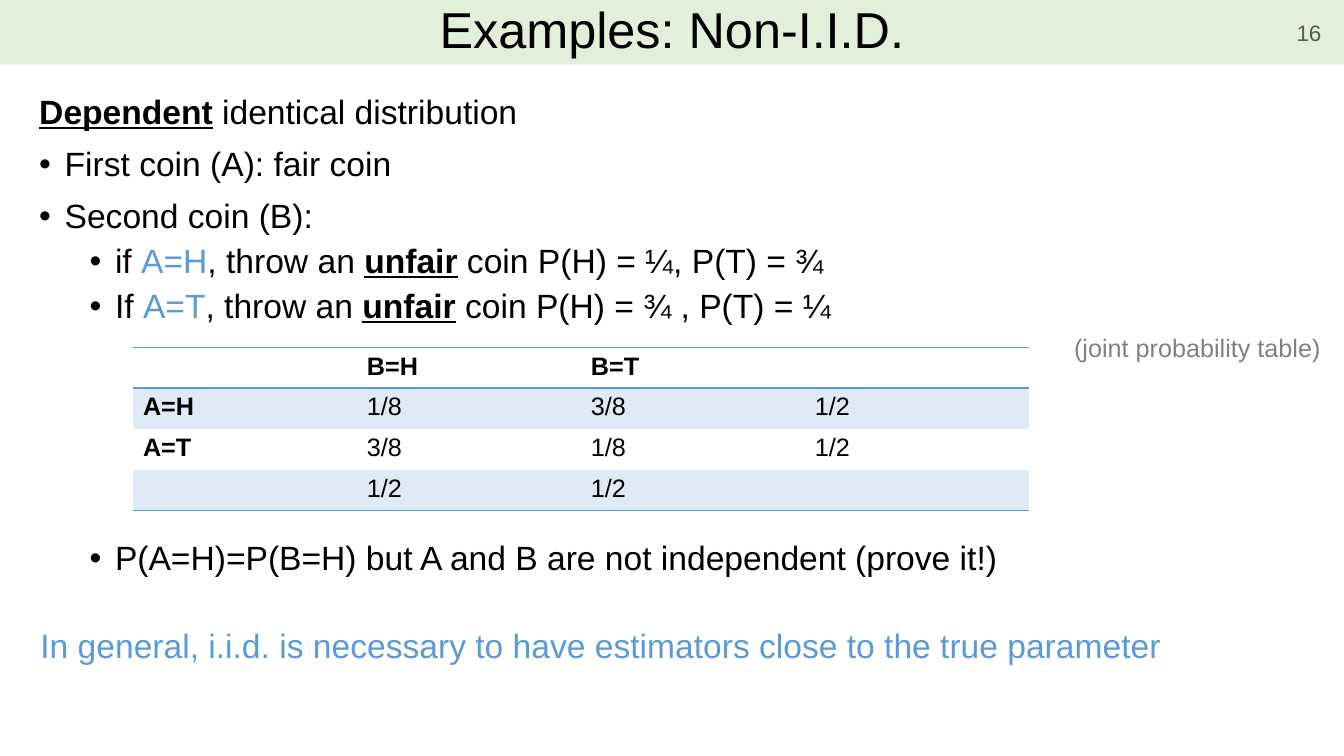
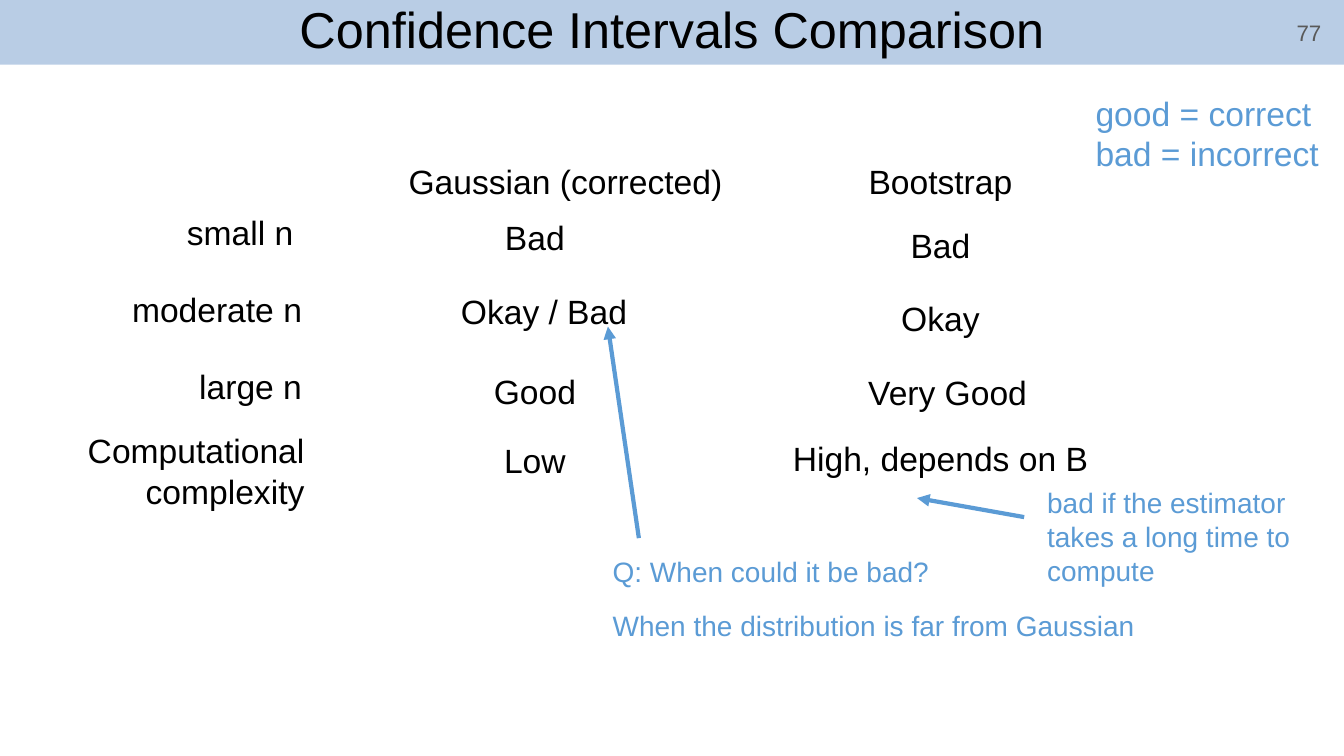
"""Build two lecture slides: a non-i.i.d. example and a comparison of confidence intervals."""
from lxml import etree
from pptx import Presentation
from pptx.dml.color import RGBColor
from pptx.enum.shapes import MSO_CONNECTOR, MSO_SHAPE
from pptx.enum.text import MSO_ANCHOR, PP_ALIGN
from pptx.oxml.ns import qn
from pptx.util import Cm, Pt

RECTANGLE = MSO_SHAPE.RECTANGLE
STRAIGHT = MSO_CONNECTOR.STRAIGHT
TOP, MIDDLE = MSO_ANCHOR.TOP, MSO_ANCHOR.MIDDLE
LEFT, CENTER, RIGHT = PP_ALIGN.LEFT, PP_ALIGN.CENTER, PP_ALIGN.RIGHT

FONT = "Arial"
COLORS = {
    "text": "000000",
    "accent": "5B9BD5",
    "row": "DEEBF7",
    "number": "595959",
    "caption": "808080",
    "green_band": "E2F0D9",
    "blue_band": "B9CDE5",
}
SLIDE_WIDTH, SLIDE_HEIGHT = 33.87, 19.05
BAND_HEIGHT = 1.63
LINE_HEIGHT = 1.27
NO_TABLE_STYLE = "{2D5ABB26-0587-4C30-8999-92F81FD0307C}"

STRONG = {"bold": True, "underline": True}
ACCENT = {"color": "accent"}

COIN_RULES = [
    ([("Dependent", STRONG), (" identical distribution", {})], {}),
    ("First coin (A): fair coin", {"bullet_at": 0.64, "before": 10}),
    ("Second coin (B):", {"bullet_at": 0.64, "before": 10}),
    ([("if ", {}), ("A=H", ACCENT), (", throw an ", {}), ("unfair", STRONG),
      (" coin P(H) = ¼, P(T) = ¾", {})], {"bullet_at": 1.91, "before": 5}),
    ([("If ", {}), ("A=T", ACCENT), (", throw an ", {}), ("unfair", STRONG),
      (" coin P(H) = ¾ , P(T) = ¼", {})], {"bullet_at": 1.91, "before": 5}),
]
JOINT_TABLE = [
    ["", "B=H", "B=T", ""],
    ["A=H", "1/8", "3/8", "1/2"],
    ["A=T", "3/8", "1/8", "1/2"],
    ["", "1/2", "1/2", ""],
]
ROW_LABELS = [
    ("small n", 7.64, 5.21),
    ("moderate n", 7.86, 7.16),
    ("large n", 7.86, 9.09),
    ("Computational complexity", 7.92, 10.72),
]
RATINGS = [
    ("Gaussian (corrected)", 14.25, 3.94),
    ("Bad", 13.48, 5.33),
    ("Okay / Bad", 13.71, 7.21),
    ("Good", 13.48, 9.22),
    ("Low", 13.48, 10.95),
    ("Bootstrap", 23.7, 3.94),
    ("Bad", 23.7, 5.54),
    ("Okay", 23.7, 7.37),
    ("Very Good", 23.88, 9.25),
    ("High, depends on B", 23.7, 10.92),
]


def rgb(name):
    """Return the palette colour of that name."""
    return RGBColor.from_string(COLORS[name])


def set_bullet(paragraph, text_left):
    """Hang a round bullet in front of text that starts at text_left."""
    properties = paragraph._p.get_or_add_pPr()
    properties.set("marL", str(Cm(text_left)))
    properties.set("indent", str(-Cm(0.64)))
    etree.SubElement(properties, qn("a:buFont"), typeface=FONT)
    etree.SubElement(properties, qn("a:buChar"), char="•")


def write(paragraph, content, size=24, color="text", bold=False, underline=False,
          align=LEFT, spacing=1.0, before=0, bullet_at=None):
    """Fill a paragraph with a string or with (text, format) runs."""
    if bullet_at is not None:
        set_bullet(paragraph, bullet_at)
    paragraph.alignment = align
    paragraph.line_spacing = spacing
    paragraph.space_before = Pt(before)
    paragraph.font.size = Pt(size)
    runs = [(content, {})] if isinstance(content, str) else content
    for text, style in runs:
        run = paragraph.add_run()
        run.text = text
        run.font.name = FONT
        run.font.size = Pt(size)
        run.font.bold = style.get("bold", bold)
        run.font.underline = style.get("underline", underline)
        run.font.color.rgb = rgb(style.get("color", color))


def add_text(slide, paragraphs, left, top, width, height=LINE_HEIGHT, anchor=TOP, **style):
    """Add a wrapping text box of (content, format) paragraphs."""
    box = slide.shapes.add_textbox(Cm(left), Cm(top), Cm(width), Cm(height))
    frame = box.text_frame
    frame.word_wrap = True
    frame.vertical_anchor = anchor
    if isinstance(paragraphs, str):
        paragraphs = [(paragraphs, {})]
    for index, (content, own_style) in enumerate(paragraphs):
        paragraph = frame.add_paragraph() if index else frame.paragraphs[0]
        write(paragraph, content, **{**style, **own_style})


def add_titled_slide(deck, title, number, band_color):
    """Add a blank slide with a title band and a slide number."""
    slide = deck.slides.add_slide(deck.slide_layouts[6])
    band = slide.shapes.add_shape(RECTANGLE, 0, 0, Cm(SLIDE_WIDTH), Cm(BAND_HEIGHT))
    band.shadow.inherit = False
    band.fill.solid()
    band.fill.fore_color.rgb = rgb(band_color)
    band.line.fill.background()
    band.text_frame.vertical_anchor = MIDDLE
    write(band.text_frame.paragraphs[0], title, size=36, align=CENTER, spacing=0.9)
    add_text(slide, number, 25.93, 0.3, 7.62, 1.02, anchor=MIDDLE,
             size=16, color="number", align=RIGHT)
    return slide


def add_rule(cell, side):
    """Draw a thin accent border on the side lnT or lnB of a cell."""
    border = etree.SubElement(cell._tc.get_or_add_tcPr(), qn(f"a:{side}"), w=str(Pt(1)))
    fill = etree.SubElement(border, qn("a:solidFill"))
    etree.SubElement(fill, qn("a:srgbClr"), val=COLORS["accent"])


def add_joint_table(slide, rows, left, top, width, row_heights):
    """Add a ruled table with shaded odd rows and bold headings."""
    frame = slide.shapes.add_table(len(rows), len(rows[0]), Cm(left), Cm(top),
                                   Cm(width), Cm(sum(row_heights)))
    table = frame.table
    table.first_row = table.horz_banding = False
    table._tbl.tblPr.find(qn("a:tableStyleId")).text = NO_TABLE_STYLE
    for r, (texts, height) in enumerate(zip(rows, row_heights)):
        table.rows[r].height = Cm(height)
        for c, text in enumerate(texts):
            cell = table.cell(r, c)
            if r == 0:
                add_rule(cell, "lnT")
            if r in (0, len(rows) - 1):
                add_rule(cell, "lnB")
            if r % 2:
                cell.fill.solid()
                cell.fill.fore_color.rgb = rgb("row")
            else:
                cell.fill.background()
            write(cell.text_frame.paragraphs[0], text if text else [],
                  size=18, bold=r == 0 or c == 0)


def add_arrow(slide, start, end):
    """Add an accent arrow that points at end."""
    arrow = slide.shapes.add_connector(STRAIGHT, *map(Cm, start + end))
    arrow.line.color.rgb = rgb("accent")
    arrow.line.width = Pt(3)
    etree.SubElement(arrow.line._get_or_add_ln(), qn("a:tailEnd"), type="triangle")
    etree.SubElement(arrow._element.spPr, qn("a:effectLst"))


def build_dependence_slide(deck):
    """Build the example of dependent coins."""
    slide = add_titled_slide(deck, "Examples: Non-I.I.D.", "16", "green_band")
    add_text(slide, COIN_RULES, 0.74, 2.25, 32.4, 6, spacing=0.94)
    add_joint_table(slide, JOINT_TABLE, 3.35, 8.76, 22.58, [0.98, 1.03, 1.03, 1.03])
    add_text(slide, "(joint probability table)", 26.82, 8.26, 7.05, 1.02,
             size=18, color="caption")
    conclusion = "P(A=H)=P(B=H) but A and B are not independent (prove it!)"
    add_text(slide, conclusion, 0.74, 13.5, 32.4, spacing=0.94, bullet_at=1.91)
    add_text(slide, "In general, i.i.d. is necessary to have estimators close to the true parameter",
             0.77, 15.7, 32.4, spacing=0.94, color="accent")


def build_comparison_slide(deck):
    """Build the comparison of Gaussian and bootstrap intervals."""
    slide = add_titled_slide(deck, "Confidence Intervals Comparison", "77", "blue_band")
    label_width, rating_width = 6.6, 9
    for label, right, top in ROW_LABELS:
        add_text(slide, label, right - label_width, top, label_width, align=RIGHT)
    for rating, center, top in RATINGS:
        add_text(slide, rating, center - rating_width / 2, top, rating_width, align=CENTER)
    add_text(slide, [("good = correct", {}), ("bad = incorrect", {})],
             27.36, 2.21, 6.4, 2.31, color="accent")
    add_arrow(slide, (16.1, 13.56), (15.32, 8.23))
    add_arrow(slide, (25.81, 13.03), (23.11, 12.55))
    notes = [
        ("Q: When could it be bad?", 15.19, 13.84, 9),
        ("When the distribution is far from Gaussian", 15.19, 15.21, 17),
        ("bad if the estimator takes a long time to compute", 26.14, 12.12, 7.6),
    ]
    for note, left, top, width in notes:
        add_text(slide, note, left, top, width, size=20, color="accent")


def main():
    """Build and save the deck."""
    deck = Presentation()
    deck.slide_width, deck.slide_height = Cm(SLIDE_WIDTH), Cm(SLIDE_HEIGHT)
    build_dependence_slide(deck)
    build_comparison_slide(deck)
    deck.save("out.pptx")


if __name__ == "__main__":
    main()
